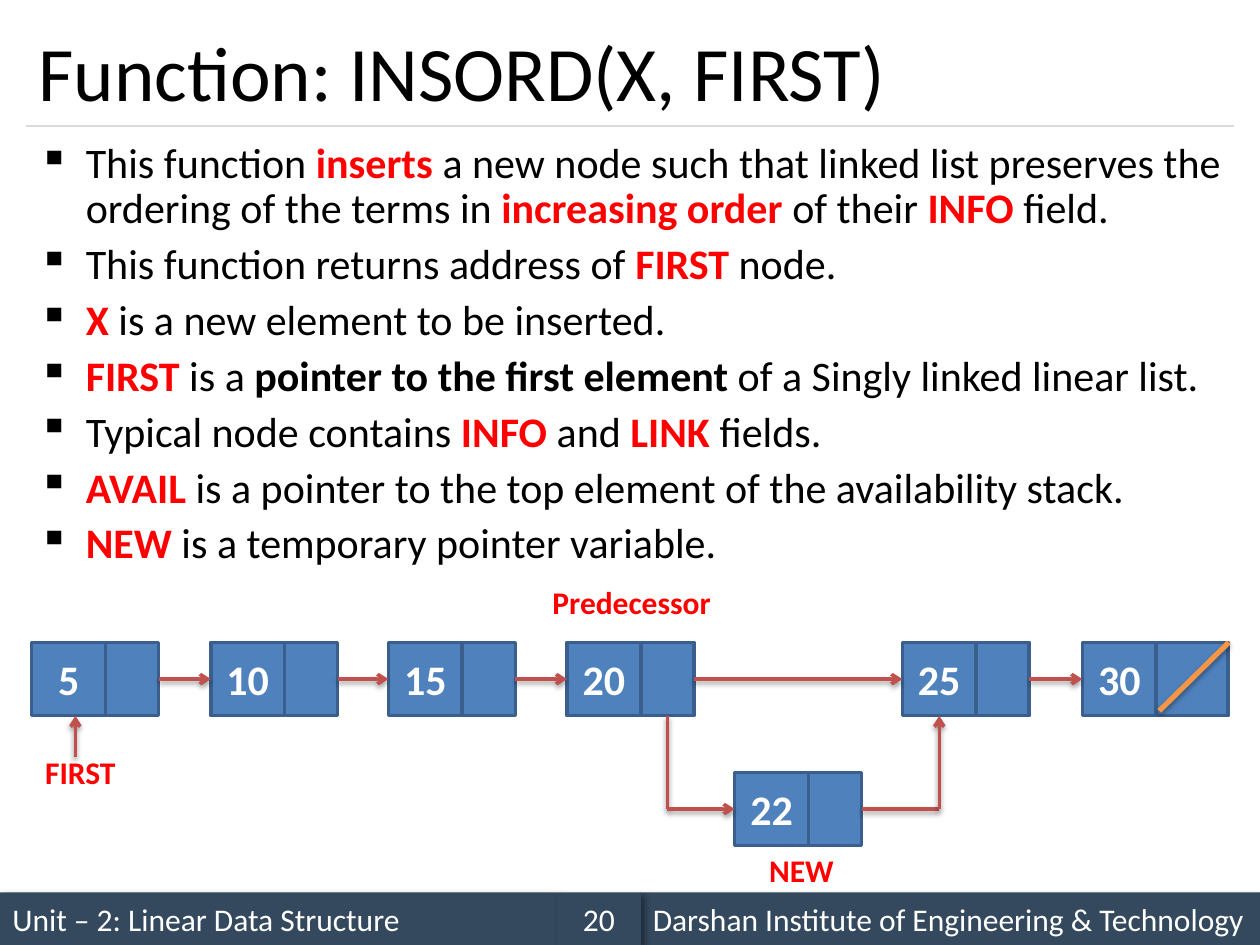
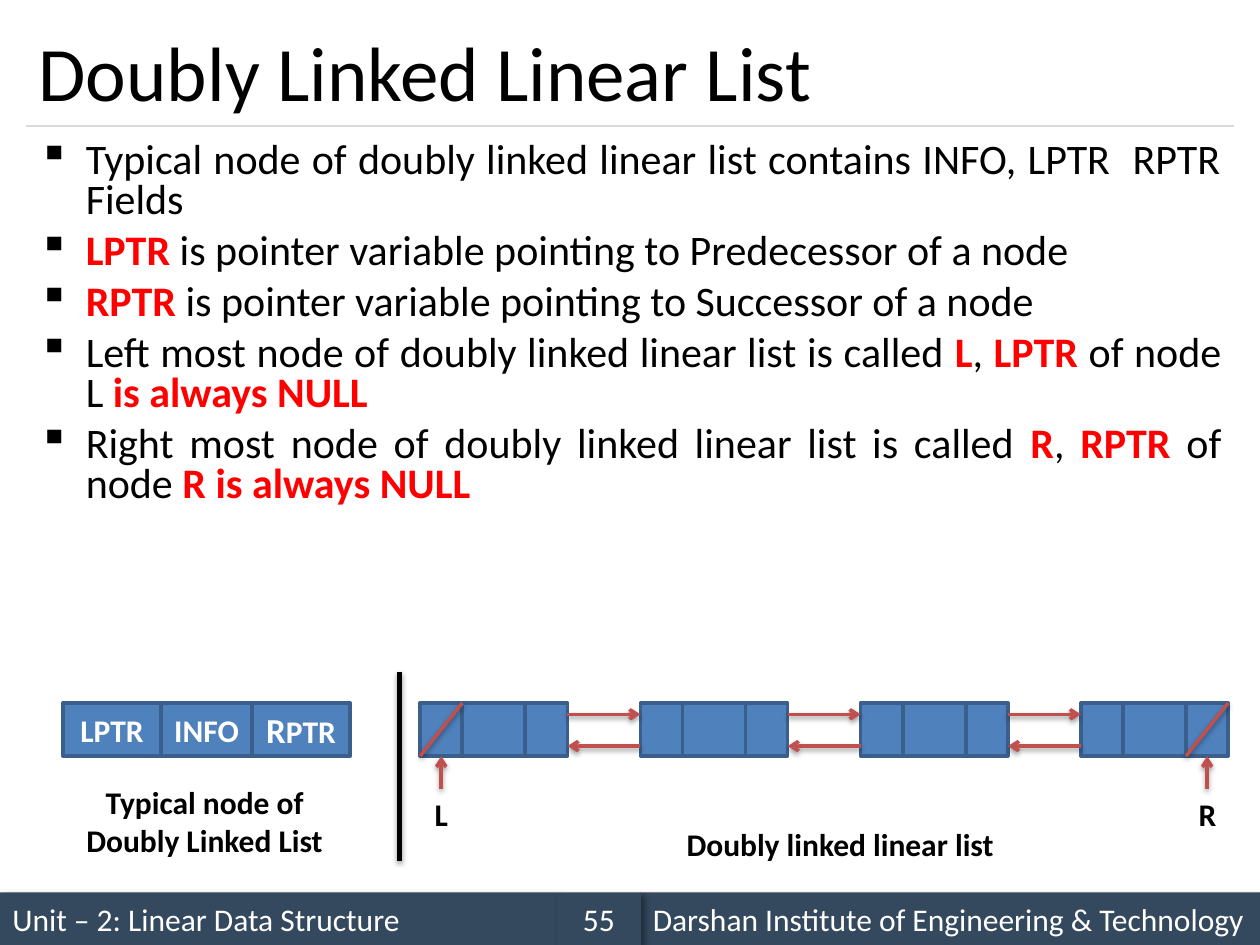
from pptx import Presentation
from pptx.dml.color import RGBColor
from pptx.enum.shapes import MSO_CONNECTOR, MSO_SHAPE
from pptx.enum.text import MSO_ANCHOR, MSO_AUTO_SIZE, PP_ALIGN
from pptx.oxml import parse_xml
from pptx.oxml.ns import nsdecls
from pptx.util import Cm, Pt

FONT = "Calibri"
BLACK, WHITE, RED = "000000", "FFFFFF", "FF0000"
BAND, RULE = "34495E", "D9D9D9"
NODE, EDGE, ARROW, NULL_MARK = "4F81BD", "3A5F8C", "C0504D", "F79646"
SHADOW = (f'<a:effectLst {nsdecls("a")}><a:outerShdw blurRad="%d" dist="%d" '
          'dir="%d" algn="t" rotWithShape="0"><a:srgbClr val="000000">'
          '<a:alpha val="%d"/></a:srgbClr></a:outerShdw></a:effectLst>')
BAND_SHADOW = SHADOW % (Pt(4), Pt(3), 45 * 60000, 40000)
LINE_SHADOW = SHADOW % (Pt(3.1), Pt(1.6), 90 * 60000, 38000)
NO_SHADOW = f'<a:effectLst {nsdecls("a")}/>'


def box(s, x, y, w, h, paragraphs, fill=None, edge=None, size=18, color=BLACK,
        bold=True, align=PP_ALIGN.CENTER, wrap=True, shadow=NO_SHADOW):
    """Filled rectangle or text box; a run is a string or a bold (text, colour)."""
    if fill:
        sp = s.shapes.add_shape(MSO_SHAPE.RECTANGLE, Cm(x), Cm(y), Cm(w), Cm(h))
        sp.fill.solid()
        sp.fill.fore_color.rgb = RGBColor.from_string(fill)
        if edge:
            sp.line.color.rgb = RGBColor.from_string(edge)
            sp.line.width = Pt(2)
        else:
            sp.line.fill.background()
        sp.element.spPr.append(parse_xml(shadow))
    else:
        sp = s.shapes.add_textbox(Cm(x), Cm(y), Cm(w), Cm(h))
    tf = sp.text_frame
    tf.word_wrap = wrap
    tf.auto_size = MSO_AUTO_SIZE.NONE if wrap else MSO_AUTO_SIZE.SHAPE_TO_FIT_TEXT
    tf.vertical_anchor = MSO_ANCHOR.MIDDLE if fill else MSO_ANCHOR.TOP
    for i, runs in enumerate(paragraphs):
        p = tf.add_paragraph() if i else tf.paragraphs[0]
        p.alignment = align
        for run in runs:
            text, run_color, run_bold = (
                (run, color, bold) if isinstance(run, str) else (*run, True))
            r = p.add_run()
            r.text = text
            r.font.name = FONT
            r.font.size = Pt(size)
            r.font.bold = run_bold
            r.font.color.rgb = RGBColor.from_string(run_color)
    return tf


def line(s, x1, y1, x2, y2, color=ARROW, width=2, arrow=True, shadow=LINE_SHADOW):
    c = s.shapes.add_connector(MSO_CONNECTOR.STRAIGHT, Cm(x1), Cm(y1), Cm(x2), Cm(y2))
    c.line.color.rgb = RGBColor.from_string(color)
    c.line.width = Pt(width)
    if arrow:
        c.line._get_or_add_ln().append(
            parse_xml(f'<a:tailEnd {nsdecls("a")} type="arrow"/>'))
    c.element.spPr.append(parse_xml(shadow))


prs = Presentation()
prs.slide_width, prs.slide_height = Cm(25.4), Cm(19.05)

pages = [
    ("Function: INSORD(X, FIRST)", "20", 0.9, 9.53, [
        ["This function ", ("inserts", RED),
         " a new node such that linked list preserves the ordering of the terms in ",
         ("increasing order ", RED), "of their ", ("INFO ", RED), "field."],
        ["This function returns address of ", ("FIRST ", RED), "node."],
        [("X", RED), " is a new element to be inserted."],
        [("FIRST", RED), " is a ", ("pointer to the first element", BLACK),
         " of a Singly linked linear list."],
        ["Typical node contains ", ("INFO ", RED), "and ", ("LINK ", RED), "fields."],
        [("AVAIL ", RED), "is a pointer to the top element of the availability stack."],
        [("NEW ", RED), "is a temporary pointer variable."],
    ]),
    ("Doubly Linked Linear List", "55", 0.8, 8.26, [
        ["Typical node of doubly linked linear list contains INFO, LPTR  RPTR Fields"],
        [("LPTR ", RED), "is pointer variable pointing to Predecessor of a node"],
        [("RPTR ", RED), "is pointer variable pointing to Successor of a node"],
        ["Left most node of doubly linked linear list is called ", ("L", RED), ", ",
         ("LPTR ", RED), "of node L", (" is always NULL", RED)],
        ["Right most node of doubly linked linear list is called ", ("R", RED), ", ",
         ("RPTR ", RED), "of node ", ("R is always NULL", RED)],
    ]),
]

# Shared frame, title and bullets
slides = []
for title, number, spacing, body_height, bullets in pages:
    s = prs.slides.add_slide(prs.slide_layouts[6])
    slides.append(s)
    line(s, 0.53, 2.54, 24.87, 2.54, RULE, 0.75, arrow=False, shadow=NO_SHADOW)
    for x, w, text, align in [
            (0, 11.23, "Unit – 2: Linear Data Structure", PP_ALIGN.LEFT),
            (12.91, 12.49, "Darshan Institute of Engineering & Technology", PP_ALIGN.LEFT),
            (11.23, 1.69, number, PP_ALIGN.CENTER)]:
        box(s, x, 17.99, w, 1.06, [[text]], BAND, color=WHITE, bold=False,
            align=align, shadow=BAND_SHADOW)
    tf = box(s, 0.53, 0.3, 24.34, 2.24, [[title]], size=44, bold=False,
             align=PP_ALIGN.LEFT)
    tf.vertical_anchor = MSO_ANCHOR.MIDDLE
    tf = box(s, 0.53, 2.74, 24.34, body_height, bullets, size=24, bold=False,
             align=PP_ALIGN.JUSTIFY)
    for i, p in enumerate(tf.paragraphs):
        p.line_spacing = spacing
        p.space_before = Pt(6 if i else 0)
        pPr = p._p.get_or_add_pPr()
        pPr.set("marL", str(Cm(0.95)))
        pPr.set("indent", str(-Cm(0.95)))
        for bullet in (f'<a:buClr {nsdecls("a")}><a:srgbClr val="{BLACK}"/></a:buClr>',
                       f'<a:buChar {nsdecls("a")} char="▪"/>'):
            pPr.append(parse_xml(bullet))

# Slide 1: ordered insertion into a singly linked list
s = slides[0]
info_w, link_w, node_h = 1.49, 1.07, 1.48
node_w = info_w + link_w
list_y, new_x, new_y = 12.95, 14.81, 15.57
list_bottom, list_mid, new_mid = list_y + node_h, list_y + node_h / 2, new_y + node_h / 2
list_x = {"5": 0.64, "10": 4.25, "15": 7.83, "20": 11.43, "25": 18.19, "30": 21.82}
nodes = [(value, x, list_y) for value, x in list_x.items()] + [("22", new_x, new_y)]
for value, x, y in nodes:
    box(s, x, y, info_w, node_h, [[value]], NODE, EDGE, size=24, color=WHITE)
    box(s, x + info_w, y, 1.45 if value == "30" else link_w, node_h, [], NODE, EDGE)
starts = list(list_x.values())
for x, next_x in zip(starts, starts[1:]):
    line(s, x + node_w, list_mid, next_x, list_mid)
line(s, 23.37, 14.33, 24.77, list_y, NULL_MARK, 3, arrow=False)
line(s, 1.52, 15.27, 1.52, list_bottom)

link_x = list_x["20"] + info_w + link_w / 2
next_x = list_x["25"] + info_w / 2
line(s, new_x + node_w, new_mid, next_x, new_mid, arrow=False)
line(s, next_x, new_mid, next_x, list_bottom)
line(s, link_x, list_bottom, link_x, new_mid, arrow=False)
line(s, link_x, new_mid, new_x, new_mid)
for label, x, y, w in [("FIRST", 0.64, 15.06, 1.96), ("Predecessor", 10.87, 11.63, 3.73),
                       ("NEW", 15.24, 17.04, 1.83)]:
    box(s, x, y, w, 1.02, [[label]], color=RED, wrap=False)

# Slide 2: typical node and doubly linked list
s = slides[1]
top, height, ptr_w, info_w = 14.17, 1.07, 0.85, 1.27
bottom, node_w = top + height, 2 * ptr_w + info_w
starts = [8.47 + 4.44 * i for i in range(4)]
for x in starts:
    for dx, w in [(ptr_w, info_w), (0, ptr_w), (ptr_w + info_w, ptr_w)]:
        box(s, x + dx, top, w, height, [], NODE, EDGE)
for x, next_x in zip(starts, starts[1:]):
    line(s, x + node_w, 14.4, next_x, 14.4)
    line(s, next_x, 15.04, x + node_w, 15.04)
for label, x in [("L", starts[0]), ("R", starts[-1] + ptr_w + info_w)]:
    center = x + ptr_w / 2
    line(s, x, bottom, x + ptr_w, top, arrow=False)
    line(s, center, 15.9, center, bottom)
    box(s, center - 0.42, 15.9, 0.84, 1.02, [[label]], wrap=False)
line(s, 8.05, 13.54, 8.05, 17.35, BLACK, 3, arrow=False)

for field, x, w in [("INFO", 3.25, 1.83), ("LPTR", 1.27, 1.98)]:
    box(s, x, top, w, height, [[field]], NODE, EDGE, color=WHITE)
tf = box(s, 5.08, top, 1.98, height, [["R", "PTR"]], NODE, EDGE, color=WHITE)
tf.paragraphs[0].runs[0].font.size = Pt(20)
box(s, 13.56, 16.51, 6.76, 1.02, [["Doubly linked linear list"]], wrap=False)
box(s, 1.47, 15.67, 5.31, 1.8, [["Typical node of"], ["Doubly Linked List"]], wrap=False)

prs.save("out.pptx")
